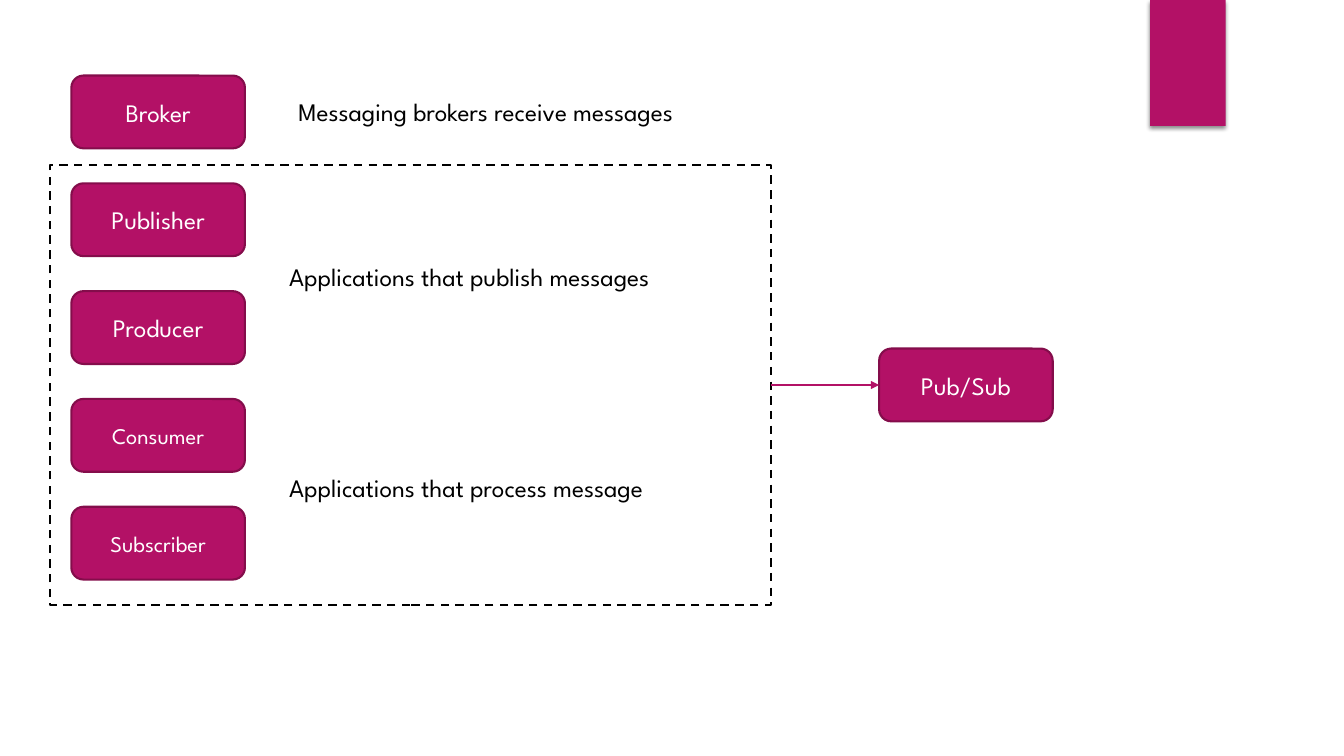
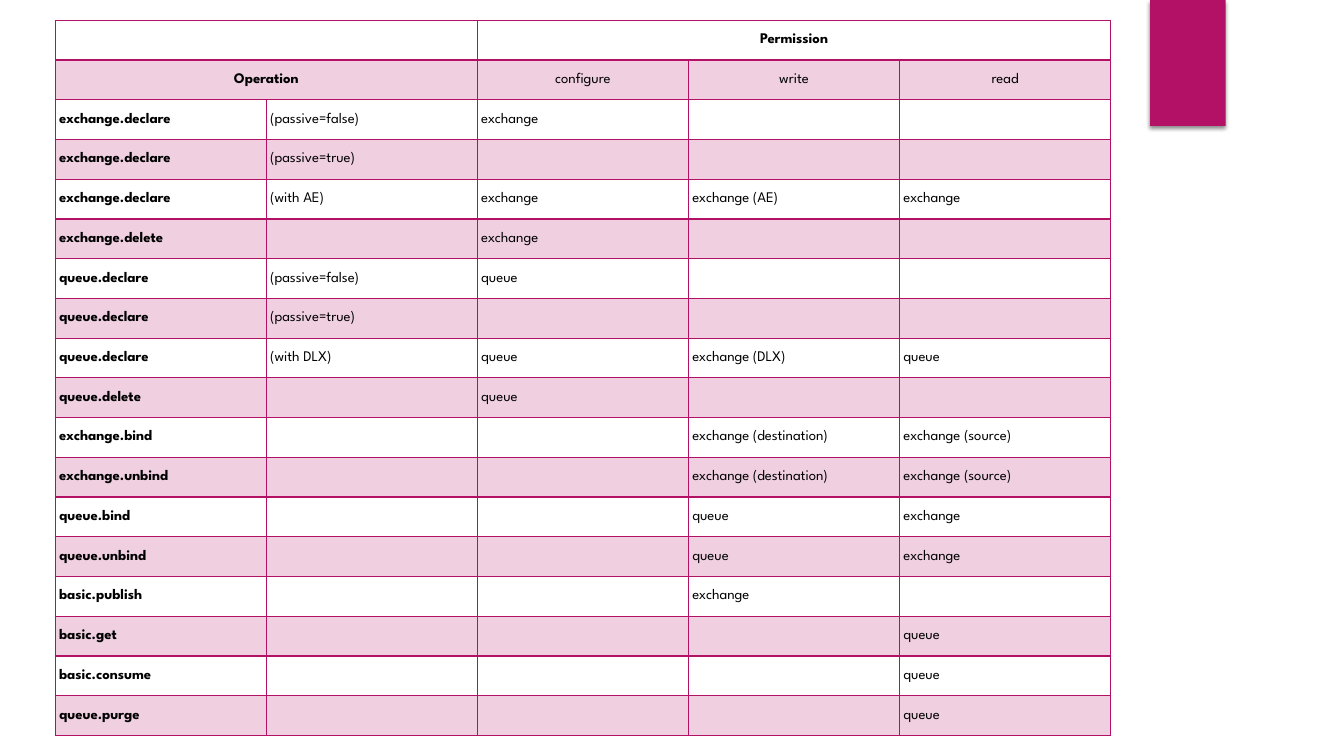
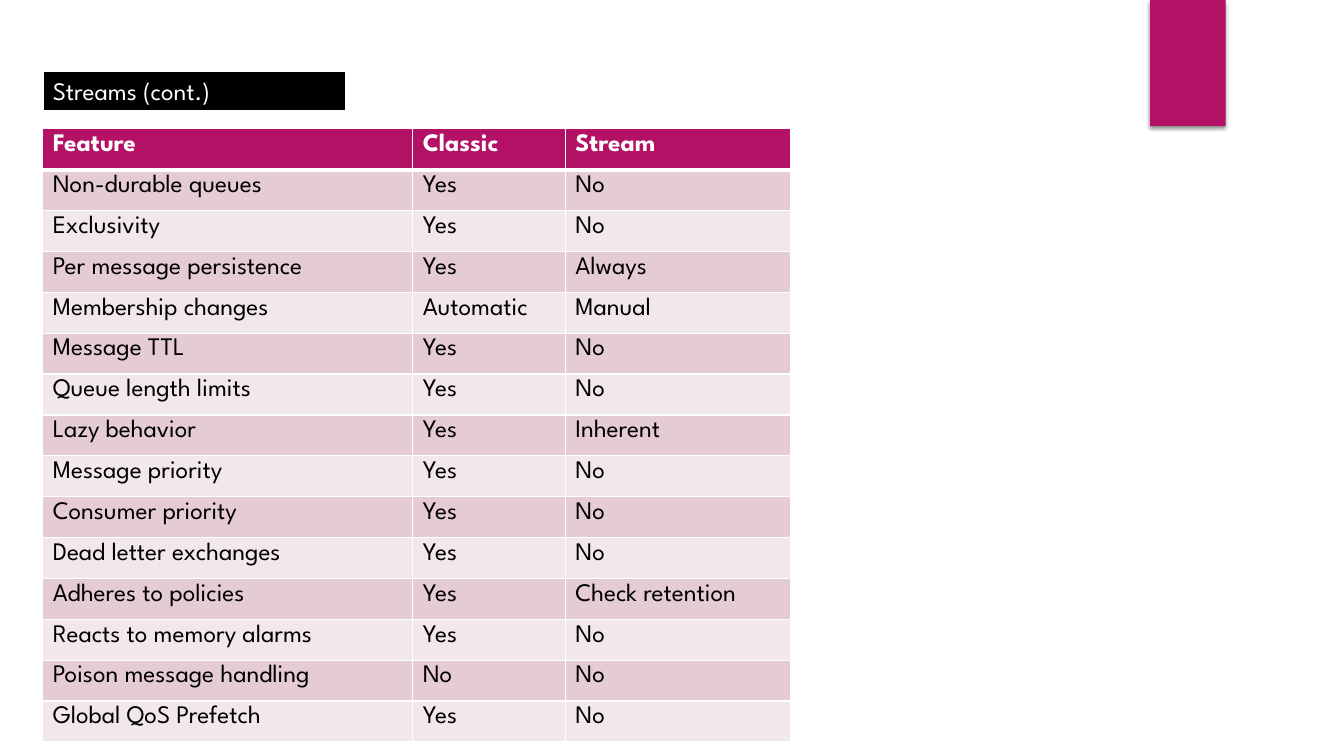
import lxml.etree
import pptx
import pptx.dml.color
import pptx.enum.dml
import pptx.enum.shapes
import pptx.enum.text
import pptx.oxml.ns
import pptx.util

Pt = pptx.util.Pt
qn = pptx.oxml.ns.qn
SHAPES = pptx.enum.shapes.MSO_SHAPE
ALIGN = pptx.enum.text.PP_ALIGN
ANCHOR = pptx.enum.text.MSO_ANCHOR

PERMISSIONS = [
    ["", "", "Permission", "", ""],
    ["Operation", "", "configure", "write", "read"],
    ["exchange.declare", "(passive=false)", "exchange", "", ""],
    ["exchange.declare", "(passive=true)", "", "", ""],
    ["exchange.declare", "(with AE)", "exchange", "exchange (AE)", "exchange"],
    ["exchange.delete", "", "exchange", "", ""],
    ["queue.declare", "(passive=false)", "queue", "", ""],
    ["queue.declare", "(passive=true)", "", "", ""],
    ["queue.declare", "(with DLX)", "queue", "exchange (DLX)", "queue"],
    ["queue.delete", "", "queue", "", ""],
    ["exchange.bind", "", "", "exchange (destination)", "exchange (source)"],
    ["exchange.unbind", "", "", "exchange (destination)", "exchange (source)"],
    ["queue.bind", "", "", "queue", "exchange"],
    ["queue.unbind", "", "", "queue", "exchange"],
    ["basic.publish", "", "", "exchange", ""],
    ["basic.get", "", "", "", "queue"],
    ["basic.consume", "", "", "", "queue"],
    ["queue.purge", "", "", "", "queue"],
]

FEATURES = [
    ["Feature", "Classic", "Stream"],
    ["Non-durable queues", "Yes", "No"],
    ["Exclusivity", "Yes", "No"],
    ["Per message persistence", "Yes", "Always"],
    ["Membership changes", "Automatic", "Manual"],
    ["Message TTL", "Yes", "No"],
    ["Queue length limits", "Yes", "No"],
    ["Lazy behavior", "Yes", "Inherent"],
    ["Message priority", "Yes", "No"],
    ["Consumer priority", "Yes", "No"],
    ["Dead letter exchanges", "Yes", "No"],
    ["Adheres to policies", "Yes", "Check retention"],
    ["Reacts to memory alarms", "Yes", "No"],
    ["Poison message handling", "No", "No"],
    ["Global QoS Prefetch", "Yes", "No"],
]


def color(hex_string):
    return pptx.dml.color.RGBColor.from_string(hex_string)


def add_xml(parent, tag, **attributes):
    return lxml.etree.SubElement(parent, qn(tag), attributes)


class Deck:
    FONT = "League Spartan"
    ACCENT, DARK_ACCENT = "B31166", "840D4B"
    BLACK, WHITE = "000000", "FFFFFF"
    TITLE_ONLY, BLANK = 5, 6

    def __init__(self):
        self.presentation = pptx.Presentation()
        self.presentation.slide_width = Pt(960)
        self.presentation.slide_height = Pt(540)
        self.slide = None

    def new_slide(self, title=None):
        layout = self.BLANK if title is None else self.TITLE_ONLY
        self.slide = self.presentation.slides.add_slide(
            self.presentation.slide_layouts[layout])
        # Corner band with a soft shadow below it
        band = self.shape(SHAPES.RECTANGLE, 821.5, 0, 54, 90, self.ACCENT)
        effects = band._element.spPr.find(qn("a:effectLst"))
        shadow = add_xml(effects, "a:outerShdw", blurRad=str(Pt(3)), dist=str(Pt(2)),
                         dir="5400000", rotWithShape="0")
        black = add_xml(shadow, "a:srgbClr", val=self.BLACK)
        add_xml(black, "a:alpha", val="45000")
        if title is not None:
            self.title(title)

    def title(self, text):
        title = self.slide.shapes.title
        title.left, title.top, title.width, title.height = Pt(30.5), Pt(50.5), Pt(217), Pt(29)
        self.paint(title, self.BLACK, self.WHITE, 2.25)
        title.text_frame.vertical_anchor = ANCHOR.TOP
        self.set_text(title.text_frame, text, 18, self.WHITE)

    def set_text(self, text_frame, text, size, text_color, bold=False, align=ALIGN.LEFT):
        text_frame.text = text
        text_frame.word_wrap = True
        for paragraph in text_frame.paragraphs:
            paragraph.alignment = align
            for run in paragraph.runs:
                run.font.name = self.FONT
                run.font.size = Pt(size)
                run.font.bold = bold
                run.font.color.rgb = color(text_color)

    def paint(self, shape, fill, line=None, weight=1.5):
        shape.fill.solid()
        shape.fill.fore_color.rgb = color(fill)
        if line is None:
            shape.line.fill.background()
        else:
            shape.line.color.rgb = color(line)
            shape.line.width = Pt(weight)

    def shape(self, kind, left, top, width, height, fill, line=None):
        shape = self.slide.shapes.add_shape(kind, Pt(left), Pt(top), Pt(width), Pt(height))
        shape.shadow.inherit = False
        self.paint(shape, fill, line)
        return shape

    def dashed_frame(self, left, top, width, height):
        frame = self.shape(SHAPES.RECTANGLE, left, top, width, height, self.WHITE, self.BLACK)
        frame.line.dash_style = pptx.enum.dml.MSO_LINE.DASH
        return frame

    def role_box(self, text, left, top, size=18):
        box = self.shape(SHAPES.ROUNDED_RECTANGLE, left, top, 124, 52,
                         self.ACCENT, self.DARK_ACCENT)
        box.text_frame.vertical_anchor = ANCHOR.MIDDLE
        self.set_text(box.text_frame, text, size, self.WHITE, align=ALIGN.CENTER)
        return box

    def label(self, text, left, top, width):
        box = self.slide.shapes.add_textbox(Pt(left), Pt(top), Pt(width), Pt(29))
        self.set_text(box.text_frame, text, 18, self.BLACK)

    def arrow(self, source, target):
        arrow = self.slide.shapes.add_connector(
            pptx.enum.shapes.MSO_CONNECTOR.STRAIGHT, 0, 0, 0, 0)
        arrow.begin_connect(source, 3)
        arrow.end_connect(target, 1)
        arrow.line.color.rgb = color(self.ACCENT)
        arrow.line.width = Pt(0.75)
        add_xml(arrow.line._get_or_add_ln(), "a:tailEnd", type="triangle")
        add_xml(arrow._element.spPr, "a:effectLst")

    def table(self, rows, left, top, widths, row_height):
        frame = self.slide.shapes.add_table(
            len(rows), len(widths), Pt(left), Pt(top),
            Pt(sum(widths)), Pt(row_height * len(rows)))
        table = frame.table
        for column, width in zip(table.columns, widths):
            column.width = Pt(width)
        for row in table.rows:
            row.height = Pt(row_height)
        return table

    def cell_fill(self, cell, fill, opacity=100):
        if fill is None:
            cell.fill.background()
            return
        cell.fill.solid()
        cell.fill.fore_color.rgb = color(fill)
        if opacity < 100:
            value = cell._tc.tcPr.find(qn("a:solidFill")).find(qn("a:srgbClr"))
            add_xml(value, "a:alpha", val=str(opacity * 1000))

    def cell_borders(self, cell, line, row_index, header_weight):
        top = header_weight if row_index == 1 else 1
        bottom = header_weight if row_index == 0 else 1
        properties = cell._tc.get_or_add_tcPr()
        sides = [("a:lnL", 1), ("a:lnR", 1), ("a:lnT", top), ("a:lnB", bottom)]
        for position, (tag, weight) in enumerate(sides):
            border = add_xml(properties, tag, w=str(Pt(weight)))
            add_xml(add_xml(border, "a:solidFill"), "a:srgbClr", val=line)
            properties.insert(position, border)

    def permission_table(self, rows):
        table = self.table(rows, 39.5, 14.5, [150.8] * 5, 28.4)
        for row_index, values in enumerate(rows):
            for column_index, text in enumerate(values):
                cell = table.cell(row_index, column_index)
                cell.margin_left = cell.margin_right = Pt(2.7)
                cell.margin_top = cell.margin_bottom = Pt(0.9)
                cell.vertical_anchor = ANCHOR.MIDDLE
                if text:
                    bold = column_index == 0 or row_index == 0
                    align = ALIGN.CENTER if row_index < 2 else ALIGN.LEFT
                    self.set_text(cell.text_frame, text, 10.5, self.BLACK, bold, align)
                self.cell_fill(cell, self.ACCENT if row_index % 2 else None, 20)
                self.cell_borders(cell, self.ACCENT, row_index, 2)
        for row_index, first, last in [(0, 0, 1), (0, 2, 4), (1, 0, 1)]:
            table.cell(row_index, first).merge(table.cell(row_index, last))

    def feature_table(self, rows):
        table = self.table(rows, 30.5, 92, [264.3, 109, 161], 29.2)
        for row_index, values in enumerate(rows):
            header = row_index == 0
            fill = self.ACCENT if header else ("F2E7EA", "E5CCD3")[row_index % 2]
            for column_index, text in enumerate(values):
                cell = table.cell(row_index, column_index)
                self.set_text(cell.text_frame, text, 18,
                              self.WHITE if header else self.BLACK, header)
                self.cell_fill(cell, fill)
                self.cell_borders(cell, self.WHITE, row_index, 3)


def main():
    deck = Deck()

    # Messaging roles
    deck.new_slide()
    frame = deck.dashed_frame(35.5, 118, 515, 314)
    roles = [("Broker", 18), ("Publisher", 18), ("Producer", 18),
             ("Consumer", 16), ("Subscriber", 16)]
    for index, (role, size) in enumerate(roles):
        deck.role_box(role, 51, 54 + 77 * index, size)
    deck.label("Messaging brokers receive messages", 206, 65.5, 344)
    deck.label("Applications that publish messages", 199.5, 183, 323)
    deck.label("Applications that process message", 199.5, 333.5, 334)
    deck.arrow(frame, deck.role_box("Pub/Sub", 628, 249))

    # Permissions per operation
    deck.new_slide()
    deck.permission_table(PERMISSIONS)

    # Classic queues against streams
    deck.new_slide("Streams (cont.)")
    deck.feature_table(FEATURES)

    deck.presentation.save("out.pptx")


if __name__ == "__main__":
    main()
